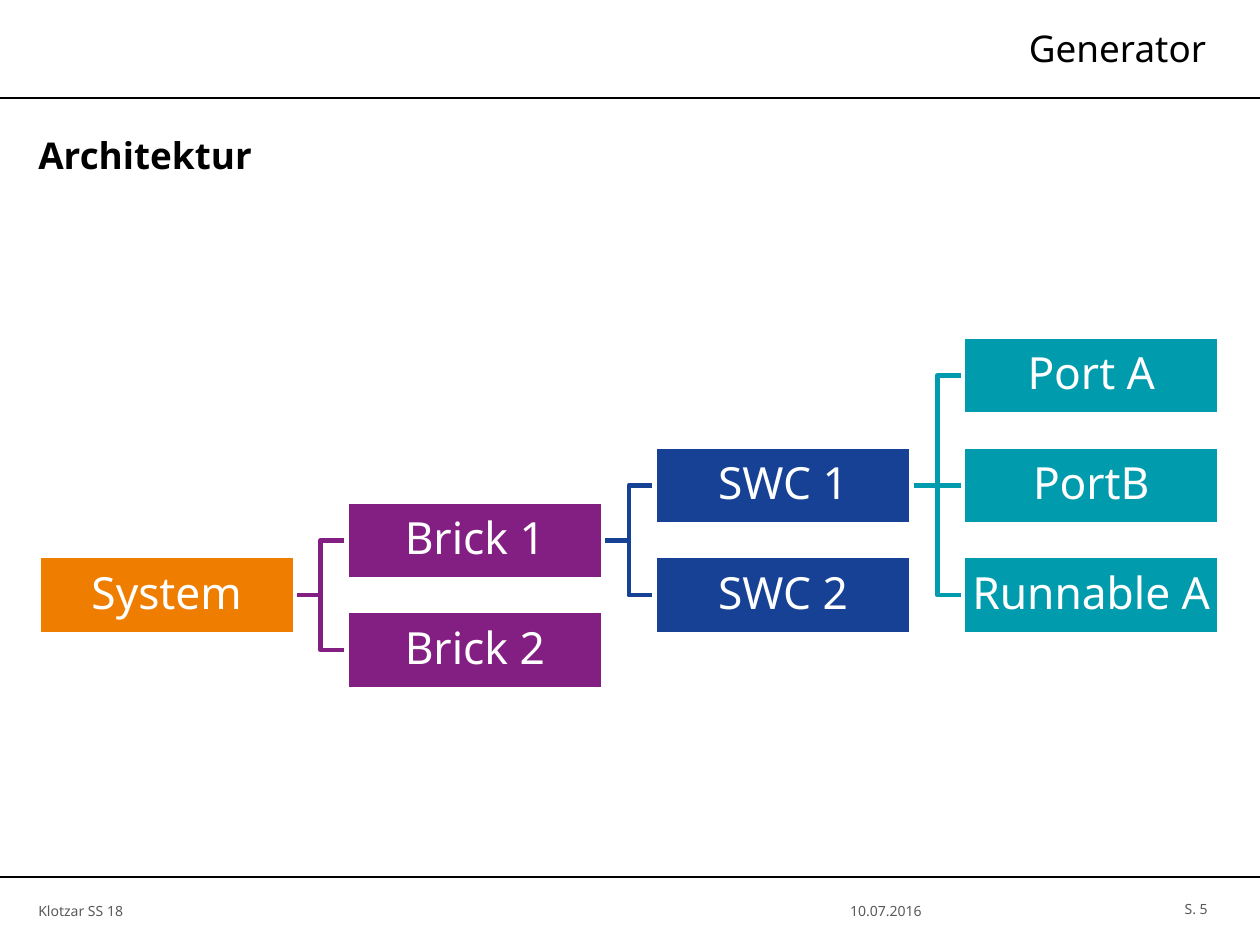
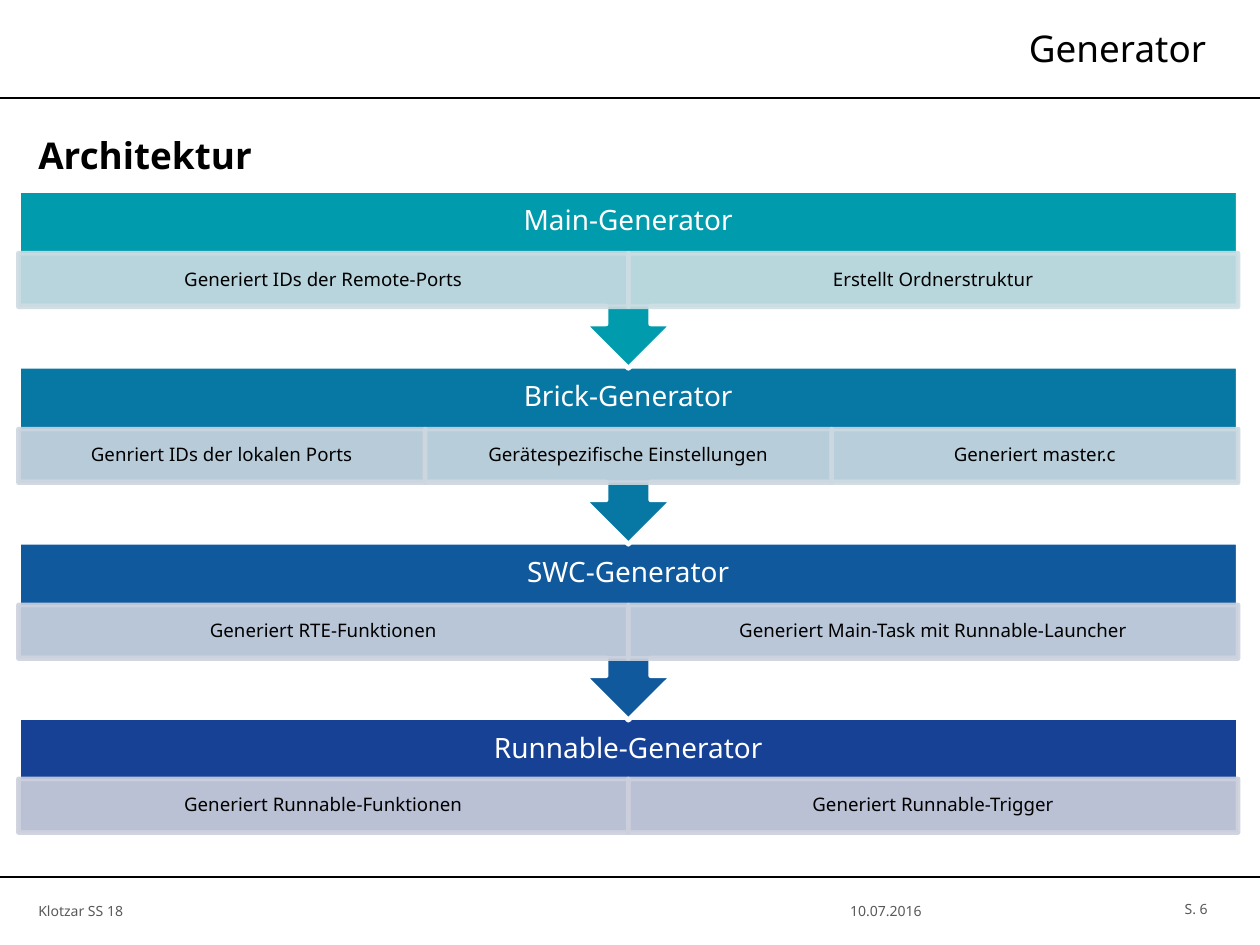
"""Builds two slides on a generator: a tree of parts and a chain of steps."""
import pptx
import pptx.util
import pptx.dml.color
import pptx.enum.shapes
import pptx.enum.text
import pptx.oxml.ns
import lxml.etree

Cm = pptx.util.Cm
Pt = pptx.util.Pt
qn = pptx.oxml.ns.qn
KIND = pptx.enum.shapes.MSO_SHAPE
LINE = pptx.enum.shapes.MSO_CONNECTOR.STRAIGHT
ALIGN = pptx.enum.text.PP_ALIGN
BLACK, WHITE, GREY = "000000", "FFFFFF", "595959"
ORANGE, PLUM, BLUE, TEAL = "EF7D00", "831F82", "164194", "009BAC"


def tint(fill, shade):
    """Gives a fill one solid colour."""
    fill.solid()
    fill.fore_color.rgb = pptx.dml.color.RGBColor.from_string(shade)


def write(shape, text, size=6, shade=BLACK, align=ALIGN.LEFT, bold=False,
          pads=(0.18, 0.1, 0.18, 0.1), lead=None):
    """Puts one formatted line of text in a shape."""
    frame = shape.text_frame
    frame.word_wrap = True
    frame.vertical_anchor = pptx.enum.text.MSO_ANCHOR.MIDDLE
    (frame.margin_left, frame.margin_top,
     frame.margin_right, frame.margin_bottom) = [Cm(pad) for pad in pads]
    para = frame.paragraphs[0]
    para.alignment = align
    para.line_spacing = lead
    run = para.add_run()
    run.text = text
    run.font.name = "Noto Sans"
    run.font.size = Pt(size)
    run.font.bold = bold
    tint(run.font.fill, shade)


deck = pptx.Presentation()
deck.slide_width, deck.slide_height = Cm(19.05), Cm(14.29)
flush = (0, 0.1, 0.18, 0.1)

for page in (5, 6):
    slide = deck.slides.add_slide(deck.slide_layouts[6])
    for y in (1.48, 13.26):
        rule = slide.shapes.add_connector(LINE, 0, Cm(y), deck.slide_width, Cm(y))
        rule.line.width = Pt(1)
        tint(rule.line.fill, BLACK)
        lxml.etree.SubElement(rule._element.spPr, qn("a:effectLst"))
    for text, spot, form in (
            ("10.07.2016", (9.98, 13.26, 6.83, 1.02), dict(shade=GREY, align=ALIGN.CENTER)),
            ("Klotzar SS 18", (0.58, 13.26, 9.4, 1.02), dict(shade=GREY, pads=flush)),
            (f"S. {page}", (16.79, 13.24, 1.65, 1.02), dict(shade=GREY, align=ALIGN.RIGHT)),
            ("Architektur", (0.58, 1.65, 17.86, 1.37), dict(size=15.8, bold=True, pads=flush)),
            ("Generator", (5.62, 0.28, 12.8, 0.89),
             dict(size=15.8, align=ALIGN.RIGHT, pads=flush))):
        box = slide.shapes.add_textbox(*[Cm(side) for side in spot])
        write(box, text, **form)

tree, chain = deck.slides

wide, high = 3.88, 1.18
shades = (ORANGE, PLUM, BLUE, TEAL)
nodes = {"System": (0, 4), "Brick 1": (1, 3), "Brick 2": (1, 5),
         "SWC 1": (2, 2), "SWC 2": (2, 4),
         "Port A": (3, 0), "PortB": (3, 2), "Runnable A": (3, 4)}
links = {"System": ("Brick 1", "Brick 2"), "Brick 1": ("SWC 1", "SWC 2"),
         "SWC 1": ("Port A", "PortB", "Runnable A")}
spots = {name: (0.58 + 4.66 * col, 5.68 + 0.83 * row)
         for name, (col, row) in nodes.items()}

for head, kids in links.items():
    left, top = spots[head]
    left += wide
    for kid in kids:
        end, low = spots[kid]
        mid = (left + end) / 2
        if low == top:
            link = tree.shapes.add_connector(LINE, Cm(left), Cm(top), Cm(end), Cm(low))
        else:
            pen = tree.shapes.build_freeform(Cm(left), Cm(top))
            pen.add_line_segments([(Cm(mid), Cm(top)), (Cm(mid), Cm(low)),
                                   (Cm(end), Cm(low))], close=False)
            link = pen.convert_to_shape()
            link.fill.background()
        link.line.width = Pt(2)
        tint(link.line.fill, shades[nodes[kid][0]])
        lxml.etree.SubElement(link._element.spPr, qn("a:effectLst"))

for name, (x, y) in spots.items():
    node = tree.shapes.add_shape(KIND.RECTANGLE, Cm(x), Cm(y - high / 2), Cm(wide), Cm(high))
    node.shadow.inherit = False
    tint(node.fill, shades[nodes[name][0]])
    node.line.width = Pt(2)
    tint(node.line.fill, WHITE)
    write(node, name, size=19, shade=WHITE, align=ALIGN.CENTER, pads=[0.03] * 4, lead=0.9)

steps = (
    ("Main-Generator", TEAL, (("Generiert IDs der Remote-Ports", "CCDBE2"),
                              ("Erstellt Ordnerstruktur", "CCDEE3"))),
    ("Brick-Generator", "0777A4", (("Genriert IDs der lokalen Ports", "CCD5DF"),
                                   ("Gerätespezifische Einstellungen", "CCD7E0"),
                                   ("Generiert master.c", "CCD9E1"))),
    ("SWC-Generator", "0F599C", (("Generiert RTE-Funktionen", "CCD2DE"),
                                 ("Generiert Main-Task mit Runnable-Launcher", "CCD3DF"))),
    ("Runnable-Generator", BLUE, (("Generiert Runnable-Funktionen", "CCCFDC"),
                                  ("Generiert Runnable-Trigger", "CCD0DD"))))
edge, span = 0.28, 18.44

for rank, (title, shade, tasks) in reversed(list(enumerate(steps))):
    top = 2.88 + 2.66 * rank
    last = rank == len(steps) - 1
    kind, tall, drop = ((KIND.RECTANGLE, 1.75, 0.92) if last
                        else (KIND.UP_ARROW_CALLOUT, 2.69, 0.95))
    step = chain.shapes.add_shape(kind, Cm(edge), Cm(top), Cm(span), Cm(tall))
    step.rotation = 0 if last else 180
    step.shadow.inherit = False
    tint(step.fill, shade)
    step.line.width = Pt(2)
    tint(step.line.fill, WHITE)
    label = chain.shapes.add_textbox(Cm(edge), Cm(top), Cm(span), Cm(0.94))
    write(label, title, size=12, shade=WHITE, align=ALIGN.CENTER, pads=[0.23] * 4, lead=0.9)
    part = span / len(tasks)
    for spot, (text, pale) in enumerate(tasks):
        task = chain.shapes.add_shape(KIND.RECTANGLE, Cm(edge + part * spot), Cm(top + drop),
                                      Cm(part), Cm(0.81))
        task.shadow.inherit = False
        tint(task.fill, pale)
        task.line.width = Pt(2)
        tint(task.line.fill, pale)
        for tone in task._element.spPr.iter(qn("a:srgbClr")):
            lxml.etree.SubElement(tone, qn("a:alpha"), val="90000")
        write(task, text, size=8, align=ALIGN.CENTER, pads=(0.15, 0.03, 0.15, 0.03), lead=0.9)

deck.save("out.pptx")
